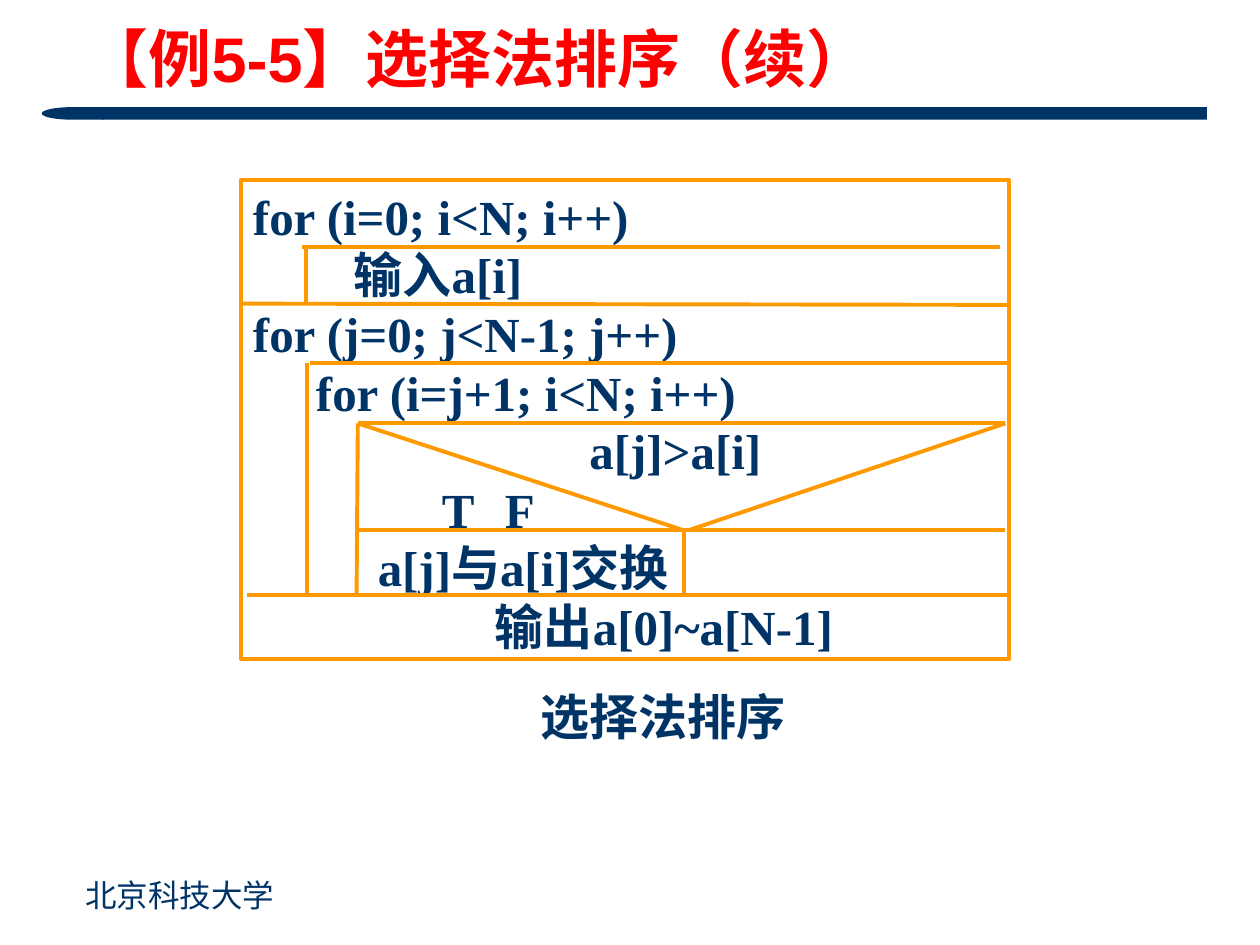
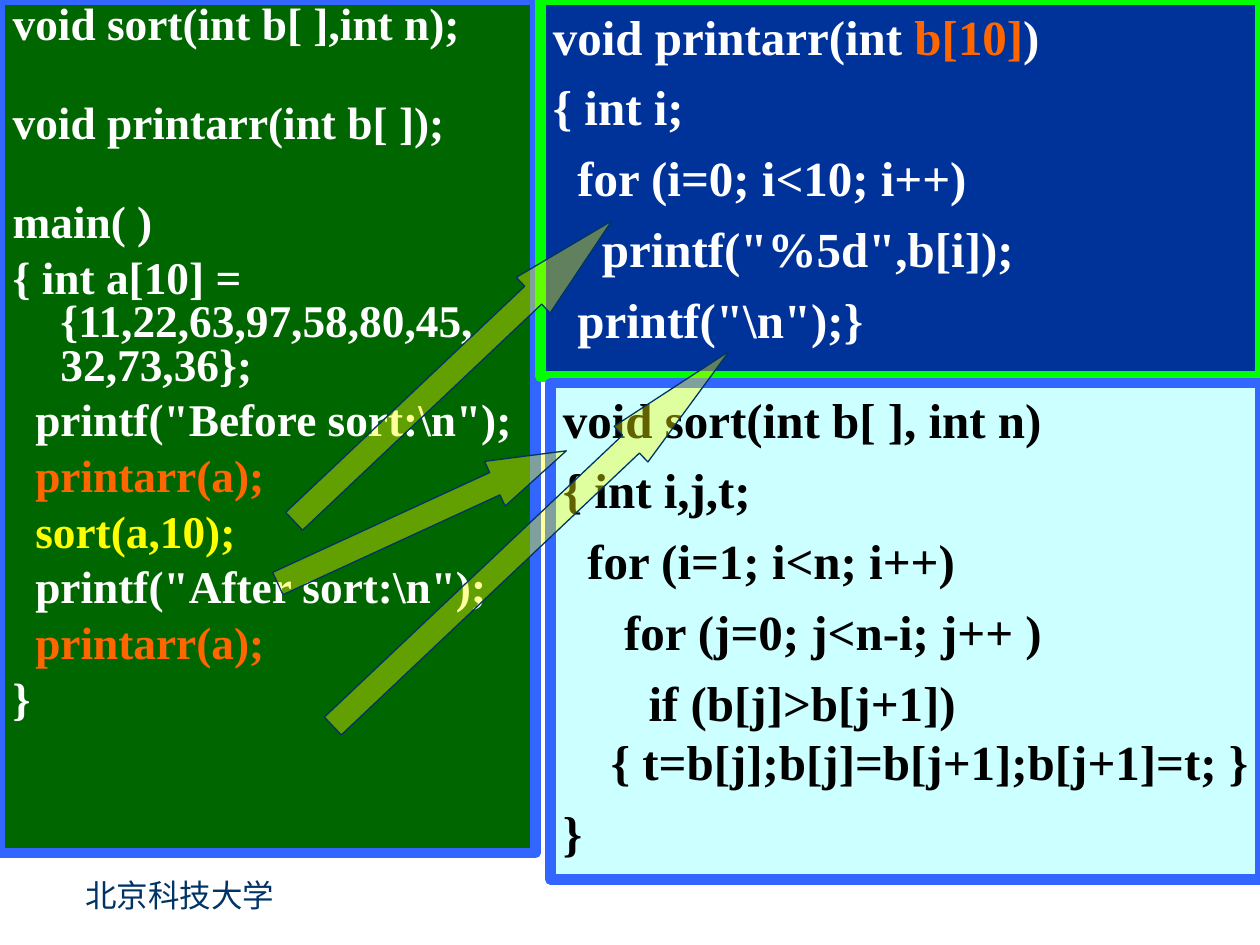
from dataclasses import dataclass

import pptx
import pptx.dml.color
import pptx.enum.shapes
import pptx.enum.text
import pptx.oxml
import pptx.oxml.ns
import pptx.util
from pptx.util import Inches, Pt

SHAPES = pptx.enum.shapes.MSO_SHAPE
COLORS = {
    "navy": "003366", "red": "FF0000", "orange": "FF9900", "white": "FFFFFF",
    "black": "000000", "green": "006600", "lime": "00FF00", "royal": "003399",
    "blue": "3366FF", "ice": "CCFFFF", "flame": "FF6600", "yellow": "FFFF00",
}
SERIF, SANS = "Times New Roman", "Arial"
BODY_SIZE, BODY_PITCH = 28, 33.5  # text size and line pitch in points
HANGING = 0.38


@dataclass
class Box:
    left: float
    top: float
    width: float
    height: float

    def lengths(self) -> list:
        return [Inches(side) for side in (self.left, self.top, self.width, self.height)]


@dataclass
class CodeLine:
    text: str
    highlight: str = ""
    highlight_color: str = ""
    tail: str = ""
    space_before: float = 7


@dataclass
class CodePanel:
    box: Box
    fill: str
    border: str
    text_color: str
    lines: list[CodeLine]
    size: float = BODY_SIZE
    pitch: float = BODY_PITCH


@dataclass
class DiagramRow:
    text: str
    indent: float = 0
    tab: float = 0


@dataclass
class CallArrow:
    box: Box
    rotation: float
    head: float


# Shared helpers
def rgb(name: str):
    return pptx.dml.color.RGBColor.from_string(COLORS[name])


def format_run(run, size: float, color: str, bold: bool = True, font: str = SERIF) -> None:
    run.font.name, run.font.size, run.font.bold = font, Pt(size), bold
    run.font.color.rgb = rgb(color)


def add_xml(parent, tag: str, **attributes: str):
    element = parent.makeelement(pptx.oxml.ns.qn(tag), attributes)
    parent.append(element)
    return element


def paint(shape, fill: str, border: str = "", border_width: float = 0) -> None:
    shape.fill.solid()
    shape.fill.fore_color.rgb = rgb(fill)
    if border:
        shape.line.color.rgb = rgb(border)
        shape.line.width = Pt(border_width)
    else:
        shape.line.fill.background()


def add_shape(slide, kind, box: Box):
    shape = slide.shapes.add_shape(kind, *box.lengths())
    shape.shadow.inherit = False
    return shape


def place(placeholder, box: Box):
    placeholder.left, placeholder.top, placeholder.width, placeholder.height = box.lengths()
    return placeholder


def set_frame(shape, anchor=pptx.enum.text.MSO_ANCHOR.TOP):
    frame = shape.text_frame
    frame.word_wrap = True
    frame.auto_size = pptx.enum.text.MSO_AUTO_SIZE.NONE
    frame.vertical_anchor = anchor
    return frame


def set_paragraph(paragraph, left: float = 0, first: float = 0, tab: float = 0) -> None:
    properties = paragraph._p.get_or_add_pPr()
    properties.set("marL", str(Inches(left)))
    properties.set("indent", str(Inches(first)))
    add_xml(properties, "a:buNone")
    if tab:
        tabs = add_xml(properties, "a:tabLst")
        add_xml(tabs, "a:tab", pos=str(Inches(tab)), algn="l")
    paragraph.alignment = pptx.enum.text.PP_ALIGN.LEFT


def next_paragraph(frame, index: int):
    return frame.add_paragraph() if index else frame.paragraphs[0]


def add_label(slide, box: Box, text: str, size: float, bold: bool) -> None:
    frame = set_frame(slide.shapes.add_textbox(*box.lengths()))
    frame.text = text
    format_run(frame.paragraphs[0].runs[0], size, "navy", bold)


def add_footer(slide) -> None:
    add_label(slide, Box(0.58, 6.9, 2.21, 0.4), "北京科技大学", 18, False)


def add_title(slide, text: str) -> None:
    title = place(slide.shapes.title, Box(0.58, 0.08, 8.42, 0.83))
    frame = set_frame(title, pptx.enum.text.MSO_ANCHOR.MIDDLE)
    frame.text = text
    paragraph = frame.paragraphs[0]
    paragraph.alignment = pptx.enum.text.PP_ALIGN.LEFT
    paragraph.line_spacing = 0.9
    format_run(paragraph.runs[0], 36, "red", font=SANS)


def add_title_band(slide) -> None:
    paint(add_shape(slide, SHAPES.RECTANGLE, Box(0.81, 0.85, 8.77, 0.1)), "navy")
    cap = add_shape(slide, SHAPES.FLOWCHART_DELAY, Box(0.33, 0.85, 0.49, 0.1))
    cap.rotation = 180
    paint(cap, "navy")


# Selection sort structure diagram
DIAGRAM_BOX = Box(1.91, 1.43, 6.1, 3.8)
DIAGRAM_ROWS = [
    DiagramRow("for (i=0; i<N; i++)"),
    DiagramRow("输入a[i]", 0.8),
    DiagramRow("for (j=0; j<N-1; j++)"),
    DiagramRow("for (i=j+1; i<N; i++)", 0.5),
    DiagramRow("a[j]>a[i]", 2.67),
    DiagramRow("T\tF", 1.5, tab=4.77),
    DiagramRow("a[j]与a[i]交换", 0.99),
    DiagramRow("输出a[0]~a[N-1]", 1.92),
]
LOOP_X, INNER_X, MIDDLE_X, BRANCH_RIGHT, RIGHT = 2.44, 2.84, 5.43, 7.98, 8.02
INPUT_Y, SORT_Y, INNER_Y, TEST_Y, SWAP_Y, OUTPUT_Y = 1.96, 2.41, 2.88, 3.36, 4.21, 4.72
DIAGRAM_LINES = [
    # Row separators
    (2.4, INPUT_Y, 7.94, INPUT_Y),
    (1.93, SORT_Y, RIGHT, 2.42),
    (2.46, INNER_Y, RIGHT, INNER_Y),
    (INNER_X, TEST_Y, BRANCH_RIGHT, TEST_Y),
    (INNER_X, SWAP_Y, BRANCH_RIGHT, SWAP_Y),
    (1.96, OUTPUT_Y, 8, OUTPUT_Y),
    # Branch triangle
    (INNER_X, TEST_Y, MIDDLE_X, SWAP_Y),
    (5.46, SWAP_Y, BRANCH_RIGHT, TEST_Y),
    # Loop edges
    (2.43, INPUT_Y, 2.43, SORT_Y),
    (LOOP_X, INNER_Y, LOOP_X, OUTPUT_Y),
    (INNER_X, TEST_Y, 2.83, OUTPUT_Y),
    (MIDDLE_X, SWAP_Y, MIDDLE_X, OUTPUT_Y),
]


def add_diagram_line(slide, ends: tuple[float, float, float, float]) -> None:
    connector = slide.shapes.add_connector(
        pptx.enum.shapes.MSO_CONNECTOR.STRAIGHT, *[Inches(end) for end in ends])
    connector.line.color.rgb = rgb("orange")
    connector.line.width = Pt(2.25)
    add_xml(connector._element.spPr, "a:effectLst")


def build_diagram_slide(presentation) -> None:
    slide = presentation.slides.add_slide(presentation.slide_layouts[5])
    add_title_band(slide)
    add_footer(slide)
    add_title(slide, "【例5-5】选择法排序（续）")
    add_label(slide, Box(4.19, 5.4, 3.46, 0.6), "选择法排序", BODY_SIZE, True)
    diagram = add_shape(slide, SHAPES.RECTANGLE, DIAGRAM_BOX)
    paint(diagram, "white", "orange", 2.25)
    frame = set_frame(diagram)
    for index, row in enumerate(DIAGRAM_ROWS):
        paragraph = next_paragraph(frame, index)
        paragraph.text = row.text
        set_paragraph(paragraph, first=row.indent, tab=row.tab)
        paragraph.line_spacing = Pt(BODY_PITCH)
        for run in paragraph.runs:
            format_run(run, BODY_SIZE, "navy")
    for ends in DIAGRAM_LINES:
        add_diagram_line(slide, ends)


# Code panels and call arrows
MAIN_PANEL = CodePanel(Box(0, 0, 4.25, 6.77), "green", "blue", "white", [
    CodeLine("void sort(int b[ ],int n);"),
    CodeLine("void printarr(int b[ ]);", space_before=31.8),
    CodeLine("main( )", space_before=31.8),
    CodeLine("{ int a[10] = {11,22,63,97,58,80,45, 32,73,36};"),
    CodeLine('  printf("Before sort:\\n");'),
    CodeLine("  ", "printarr(a);", "flame"),
    CodeLine("  ", "sort(a,10);", "yellow"),
    CodeLine('  printf("After sort:\\n");'),
    CodeLine("  ", "printarr(a);", "flame"),
    CodeLine("}"),
], size=25.9, pitch=24.8)
FUNCTION_PANELS = [
    CodePanel(Box(4.29, 0, 5.71, 2.99), "royal", "lime", "white", [
        CodeLine("void printarr(int ", "b[10]", "flame", ")"),
        CodeLine("{ int i;"),
        CodeLine("  for (i=0; i<10; i++)"),
        CodeLine('    printf("%5d",b[i]);'),
        CodeLine('  printf("\\n");}'),
    ]),
    CodePanel(Box(4.37, 3.04, 5.63, 3.94), "ice", "blue", "black", [
        CodeLine("void sort(int b[ ], int n)"),
        CodeLine("{ int i,j,t;"),
        CodeLine("  for (i=1; i<n; i++)"),
        CodeLine("     for (j=0; j<n-i; j++ )"),
        CodeLine("       if (b[j]>b[j+1])\v{ t=b[j];b[j]=b[j+1];b[j+1]=t; }"),
        CodeLine("}"),
    ]),
]
CALL_ARROWS = [
    CallArrow(Box(1.86, 2.75, 3.47, 0.39), 316.6, 2.2),
    CallArrow(Box(2.09, 3.91, 2.52, 0.39), 335.3, 1.6),
    CallArrow(Box(2.05, 4.08, 4.33, 0.39), 316.6, 2.75),
]


def fill_panel(shape, panel: CodePanel) -> None:
    paint(shape, panel.fill, panel.border, 6)
    frame = set_frame(shape)
    frame.margin_right = Inches(0.05)
    for index, line in enumerate(panel.lines):
        paragraph = next_paragraph(frame, index)
        paragraph.text = line.text
        set_paragraph(paragraph, HANGING, -HANGING)
        paragraph.line_spacing = Pt(panel.pitch)
        paragraph.space_before = Pt(line.space_before if index else 0)
        for run in paragraph.runs:
            format_run(run, panel.size, panel.text_color)
        for text, color in ((line.highlight, line.highlight_color),
                            (line.tail, panel.text_color)):
            if text:
                run = paragraph.add_run()
                run.text = text
                format_run(run, panel.size, color)


def add_call_arrow(slide, arrow: CallArrow) -> None:
    shape = add_shape(slide, SHAPES.RIGHT_ARROW, arrow.box)
    shape.adjustments[0], shape.adjustments[1] = 0.5, arrow.head
    shape.rotation = arrow.rotation
    paint(shape, "yellow", "navy", 0.75)
    fill_color = shape._element.spPr.find(".//" + pptx.oxml.ns.qn("a:srgbClr"))
    add_xml(fill_color, "a:alpha", val="38000")


def build_code_slide(presentation) -> None:
    slide = presentation.slides.add_slide(presentation.slide_layouts[1])
    title = slide.shapes.title._element
    title.getparent().remove(title)
    add_footer(slide)
    fill_panel(place(slide.placeholders[1], MAIN_PANEL.box), MAIN_PANEL)
    for panel in FUNCTION_PANELS:
        fill_panel(add_shape(slide, SHAPES.RECTANGLE, panel.box), panel)
    for arrow in CALL_ARROWS:
        add_call_arrow(slide, arrow)


def main() -> None:
    presentation = pptx.Presentation()
    presentation.slide_width, presentation.slide_height = Inches(10), Inches(7.5)
    build_diagram_slide(presentation)
    build_code_slide(presentation)
    presentation.save("out.pptx")


if __name__ == "__main__":
    main()
